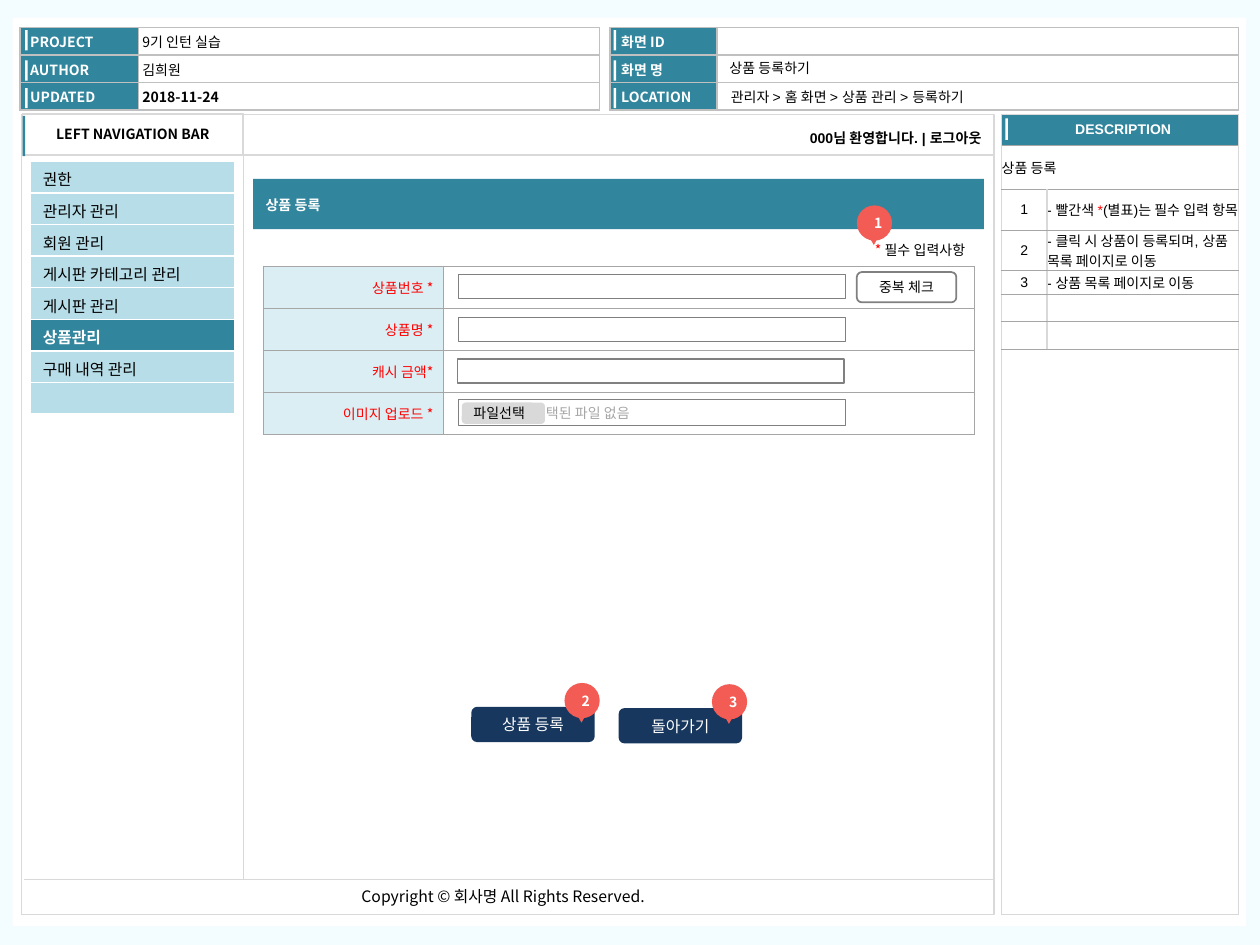
from dataclasses import dataclass
from typing import NamedTuple

from lxml.etree import SubElement
from pptx import Presentation
from pptx.dml.color import RGBColor
from pptx.enum.shapes import MSO_CONNECTOR, MSO_SHAPE
from pptx.enum.text import MSO_ANCHOR, PP_ALIGN
from pptx.oxml.ns import qn
from pptx.util import Inches, Pt

WIDTH, HEIGHT = Inches(10), Inches(7.5)
COLS, ROWS = 100, 75
KOREAN, LATIN = "Noto Sans CJK KR", "Arial"
C = {
    "page": "F3FCFF", "white": "FFFFFF", "black": "000000", "teal": "31859C",
    "menu": "B7DEE8", "label": "DBEEF4", "navy": "17375E", "badge": "F25C54",
    "red": "FF0000", "silver": "C0C0C0", "light": "D9D9D9", "mid": "A6A6A6",
    "dark": "808080",
}
ALIGN = {"l": PP_ALIGN.LEFT, "c": PP_ALIGN.CENTER, "r": PP_ALIGN.RIGHT}
RECT, ROUND = MSO_SHAPE.RECTANGLE, MSO_SHAPE.ROUNDED_RECTANGLE
ROW_INSET = (0.3, 0, 0.3, 0)
SMALL_INSET = (0.8, 0.4, 0.8, 0.4)
NO_INSET = (0, 0, 0, 0)


class Box(NamedTuple):
    x: float
    y: float
    w: float
    h: float


class Line(NamedTuple):
    color: str
    width: float = 1


@dataclass
class Cell:
    text: str | list = ""
    fill: str | None = "white"
    fmt: dict | None = None


def gx(cols: float) -> int:
    return round(WIDTH * cols / COLS)


def gy(rows: float) -> int:
    return round(HEIGHT * rows / ROWS)


def place(box: Box) -> tuple:
    return gx(box.x), gy(box.y), gx(box.w), gy(box.h)


def rgb(name: str) -> RGBColor:
    return RGBColor.from_string(C[name])


def write(tf, text, *, size=8, font=KOREAN, color="black", bold=False, align="l"):
    p = tf.paragraphs[0]
    p.alignment = ALIGN[align]
    for part, tint in [(text, color)] if isinstance(text, str) else text:
        r = p.add_run()
        r.text = part
        r.font.size, r.font.name, r.font.bold = Pt(size), font, bold
        r.font.color.rgb = rgb(tint)
        SubElement(r.font._element, qn("a:ea"), typeface=KOREAN)


def set_frame(tf, inset, anchor, wrap=True):
    tf.word_wrap = wrap
    tf.vertical_anchor = anchor
    tf.margin_left, tf.margin_right = gx(inset[0]), gx(inset[2])
    tf.margin_top, tf.margin_bottom = gy(inset[1]), gy(inset[3])


def shape(shapes, box: Box, fill: str | None = None, line: Line | None = None, text="",
          kind=RECT, inset=(1, 0.5, 1, 0.5), anchor=MSO_ANCHOR.MIDDLE, **fmt):
    sp = shapes.add_shape(kind, *place(box))
    sp.shadow.inherit = False
    if fill:
        sp.fill.solid()
        sp.fill.fore_color.rgb = rgb(fill)
    else:
        sp.fill.background()
    if line:
        sp.line.color.rgb, sp.line.width = rgb(line.color), Pt(line.width)
    else:
        sp.line.fill.background()
    if text:
        set_frame(sp.text_frame, inset, anchor)
        write(sp.text_frame, text, **fmt)
    return sp


def label(shapes, box: Box, text, inset=SMALL_INSET, wrap=True, **fmt):
    tf = shapes.add_textbox(*place(box)).text_frame
    set_frame(tf, inset, MSO_ANCHOR.TOP, wrap)
    write(tf, text, **fmt)


def rule(shapes, x1: float, y1: float, x2: float, y2: float, line: Line):
    cn = shapes.add_connector(MSO_CONNECTOR.STRAIGHT, gx(x1), gy(y1), gx(x2), gy(y2))
    cn.line.color.rgb, cn.line.width = rgb(line.color), Pt(line.width)
    SubElement(cn._element.spPr, qn("a:effectLst"))


def border(cell, lines: dict):
    tc_pr = cell._tc.get_or_add_tcPr()
    for side in "LRTB":
        line = lines[side]
        ln = SubElement(tc_pr, qn(f"a:ln{side}"), w=str(Pt(line.width)))
        SubElement(SubElement(ln, qn("a:solidFill")), qn("a:srgbClr"), val=C[line.color])


def table(shapes, x: float, y: float, cols: list, rows: list, cells: list, across: Line,
          down: Line | None = None, inset=ROW_INSET, anchor=MSO_ANCHOR.MIDDLE, merge=False):
    box = Box(x, y, sum(cols), sum(rows))
    tb = shapes.add_table(len(rows), len(cols), *place(box)).table
    tb.first_row = tb.horz_banding = False
    for col, w in zip(tb.columns, cols):
        col.width = gx(w)
    for row, h in zip(tb.rows, rows):
        row.height = gy(h)
    lines = dict.fromkeys("TB", across) | dict.fromkeys("LR", down or across)
    for i, row in enumerate(cells):
        for j, item in enumerate(row):
            cell = tb.cell(i, j)
            border(cell, lines)
            if item.fill:
                cell.fill.solid()
                cell.fill.fore_color.rgb = rgb(item.fill)
            else:
                cell.fill.background()
            fmt = dict(item.fmt or {})
            left, top, right, bottom = fmt.pop("inset", inset)
            cell.margin_left, cell.margin_right = gx(left), gx(right)
            cell.margin_top, cell.margin_bottom = gy(top), gy(bottom)
            cell.vertical_anchor = anchor
            if item.text:
                write(cell.text_frame, item.text, **fmt)
            else:
                SubElement(cell.text_frame.paragraphs[0]._p, qn("a:endParaRPr"), sz="800")
    if merge:
        tb.cell(0, 0).merge(tb.cell(0, len(cols) - 1))


def header(shapes, x: float, cols: list, rows: list, indent: float):
    fmt = {"color": "white", "bold": True, "inset": (indent, 0, 0.3, 0)}
    cells = [[Cell(name, "teal", fmt), value] for name, value in rows]
    table(shapes, x, 2.2, cols, [2.18] * 3, cells, Line("silver"))


def badge(shapes, x: float, y: float, number: int):
    group = shapes.add_group_shape().shapes
    shape(group, Box(x, y, 2.8, 2.8), "badge", text=str(number), kind=MSO_SHAPE.OVAL,
          inset=(0.6, 0, 0, 0), color="white", bold=True, align="c")
    shape(group, Box(x + 0.9, y + 2.35, 0.9, 0.8), "badge",
          kind=MSO_SHAPE.ISOSCELES_TRIANGLE).rotation = 180


def draw_headers(s):
    header(s, 1.6, [9.4, 36.6], [
        ("PROJECT", Cell("9기 인턴 실습")),
        ("AUTHOR", Cell("김희원")),
        ("UPDATED", Cell("2018-11-24", fmt={"bold": True}))], 0.8)
    header(s, 48.4, [8.5, 41.4], [(name, Cell()) for name in ("화면 ID", "화면 명", "LOCATION")], 0.9)
    for x in (2, 48.7):
        for y in (2.4, 4.8, 7):
            shape(s, Box(x, y, 0.2, 1.6), "white")
    label(s, Box(57.2, 6.6, 29, 2), "관리자 > 홈 화면 > 상품 관리 > 등록하기", font=LATIN)
    label(s, Box(57.1, 4.3, 29, 2), "상품 등록하기", font=LATIN)


def draw_description(s):
    arial = {"font": LATIN}
    table(s, 79.5, 9.1, [18.8], [2.45, 61.05], [
        [Cell("DESCRIPTION", "teal", {"font": LATIN, "color": "white", "bold": True,
                                      "align": "c", "inset": (0.5, 0, 0, 0)})],
        [Cell()]], Line("light"), inset=NO_INSET)
    shape(s, Box(79.8, 9.4, 0.2, 1.7), "white")
    notes = [[("- 빨간색 ", "black"), ("*", "red"), ("(별표)는 필수 입력 항목", "black")],
             "- 클릭 시 상품이 등록되며, 상품 목록 페이지로 이동", "- 상품 목록 페이지로 이동"]
    cells = [[Cell("상품 등록", fmt=arial), Cell()]]
    cells += [[Cell(str(n), fmt=arial | {"align": "c"}), Cell(note, fmt=arial)]
              for n, note in enumerate(notes, 1)]
    cells += [[Cell(), Cell()] for _ in range(2)]
    table(s, 79.5, 11.5, [3.6, 15.2], [3.5, 3.25, 3.25, 1.85, 2.2, 2.2], cells,
          Line("mid", 0.5), Line("light"), NO_INSET, merge=True)


def draw_layout(s):
    light = Line("light")
    thin = Line("light", 0.75)
    rule(s, 1.9, 69.8, 78.9, 69.8, light)
    label(s, Box(27.7, 69.9, 25.2, 2.5), "Copyright © 회사명 All Rights Reserved.",
          inset=(1, 0.5, 1, 0.5), wrap=False, size=9)
    shape(s, Box(1.8, 9, 17.5, 3.3), line=thin, text="LEFT NAVIGATION BAR", bold=True, align="c")
    shape(s, Box(1.8, 9.2, 0.2, 3.2), "teal")
    rule(s, 19.3, 9.1, 19.3, 69.8, thin)
    rule(s, 19.3, 12.3, 78.9, 12.3, light)
    label(s, Box(52.9, 9.9, 25.8, 2.2), "000님 환영합니다. | 로그아웃", font=LATIN, bold=True, align="r")
    menu = ["권한", "관리자 관리", "회원 관리", "게시판 카테고리 관리", "게시판 관리",
            "상품관리", "구매 내역 관리", ""]
    active = {"size": 9, "color": "white", "bold": True}
    cells = [[Cell(name, "teal", active) if name == "상품관리" else Cell(name, "menu", {"size": 9})]
             for name in menu]
    table(s, 2.4, 12.8, [16.2], [2.5] * len(menu), cells, Line("white"),
          inset=(1, 0.5, 1, 0.5), anchor=MSO_ANCHOR.TOP)


def draw_form(s):
    group = s.add_group_shape().shapes
    shape(group, Box(20.1, 14.2, 58, 4), "teal")
    shape(group, Box(20.1, 15.1, 51.4, 2.4), "teal", text="상품 등록",
          anchor=MSO_ANCHOR.TOP, color="white", bold=True)
    names = ["상품번호 *", "상품명 *", "캐시 금액*", "이미지 업로드 *"]
    fmt = {"color": "red", "align": "r"}
    table(s, 20.9, 21.1, [14.3, 42.1], [3.35] * 4,
          [[Cell(name, "label", fmt), Cell(fill=None)] for name in names],
          Line("mid", 0.25), inset=SMALL_INSET)
    label(s, Box(63.4, 18.7, 14.2, 2.4), [("* ", "red"), ("필수 입력사항", "black")],
          inset=(1, 0.5, 1, 0.5), align="r")
    edge = Line("dark", 0.75)
    for x, y in ((36.4, 21.8), (36.4, 25.2), (36.3, 28.5)):
        shape(s, Box(x, y, 30.7, 1.9), "white", edge)
    shape(s, Box(36.4, 31.7, 30.7, 2.1), "white", edge, "선택된 파일 없음",
          inset=(5.9, 0, 0.8, 0), color="mid")
    shape(s, Box(68, 21.6, 7.9, 2.4), "white", Line("dark"), "중복 체크", ROUND, align="c")
    shape(s, Box(36.7, 32, 6.5, 1.6), "light", Line("light", 0.75), "파일선택", ROUND,
          inset=(0.8, 0, 0.8, 0))
    badge(s, 68, 16.3, 1)
    for number, (x, y, name) in enumerate([(37.4, 56.1, "상품 등록"), (49.1, 56.2, "돌아가기")], 2):
        shape(s, Box(x, y, 9.8, 2.8), "navy", text=name, kind=ROUND,
              size=9, color="white", align="c")
        badge(s, x + 7.4, y - 1.9, number)


def main():
    prs = Presentation()
    prs.slide_width, prs.slide_height = WIDTH, HEIGHT
    slide = prs.slides.add_slide(prs.slide_layouts[6])
    slide.background.fill.solid()
    slide.background.fill.fore_color.rgb = rgb("page")
    s = slide.shapes
    shape(s, Box(1, 1.4, 97.9, 72.1), "white")
    draw_headers(s)
    shape(s, Box(1.7, 9.1, 77.2, 63.5), line=Line("light", 0.75))
    draw_description(s)
    draw_layout(s)
    draw_form(s)
    prs.save("out.pptx")


if __name__ == "__main__":
    main()
